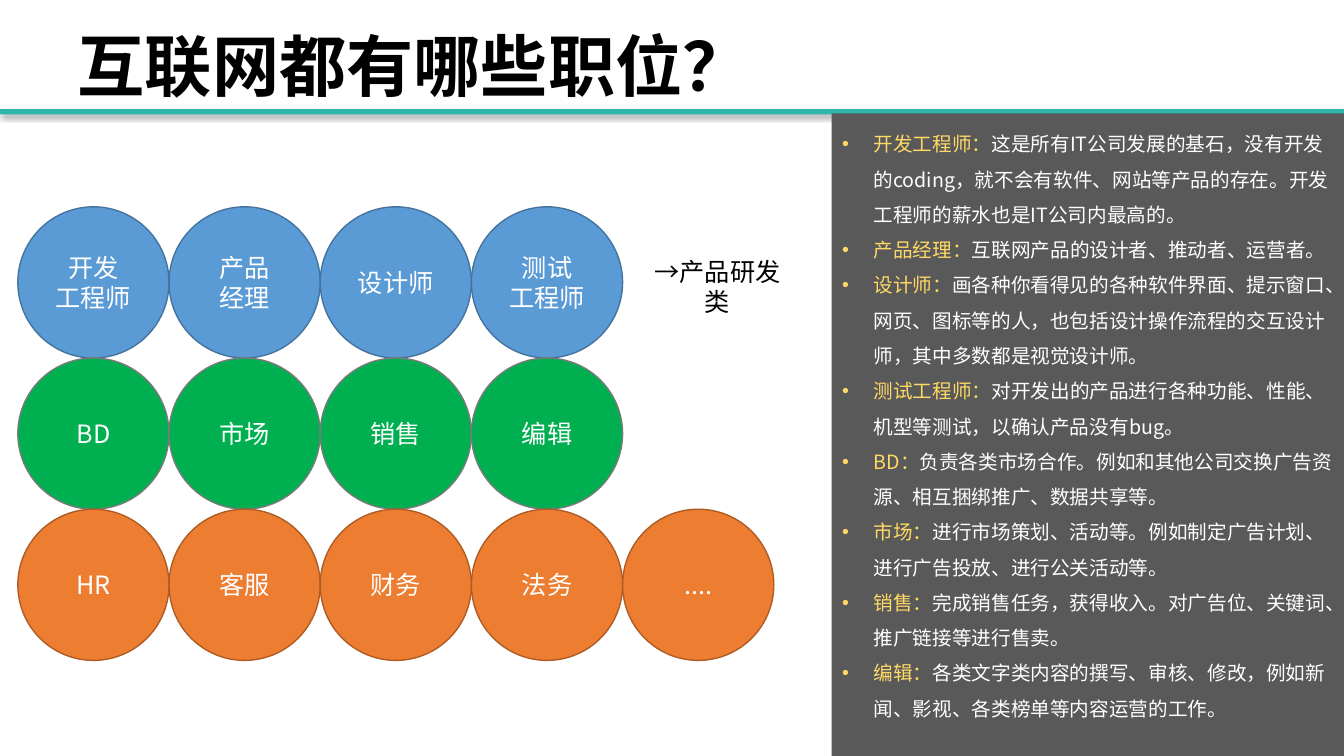
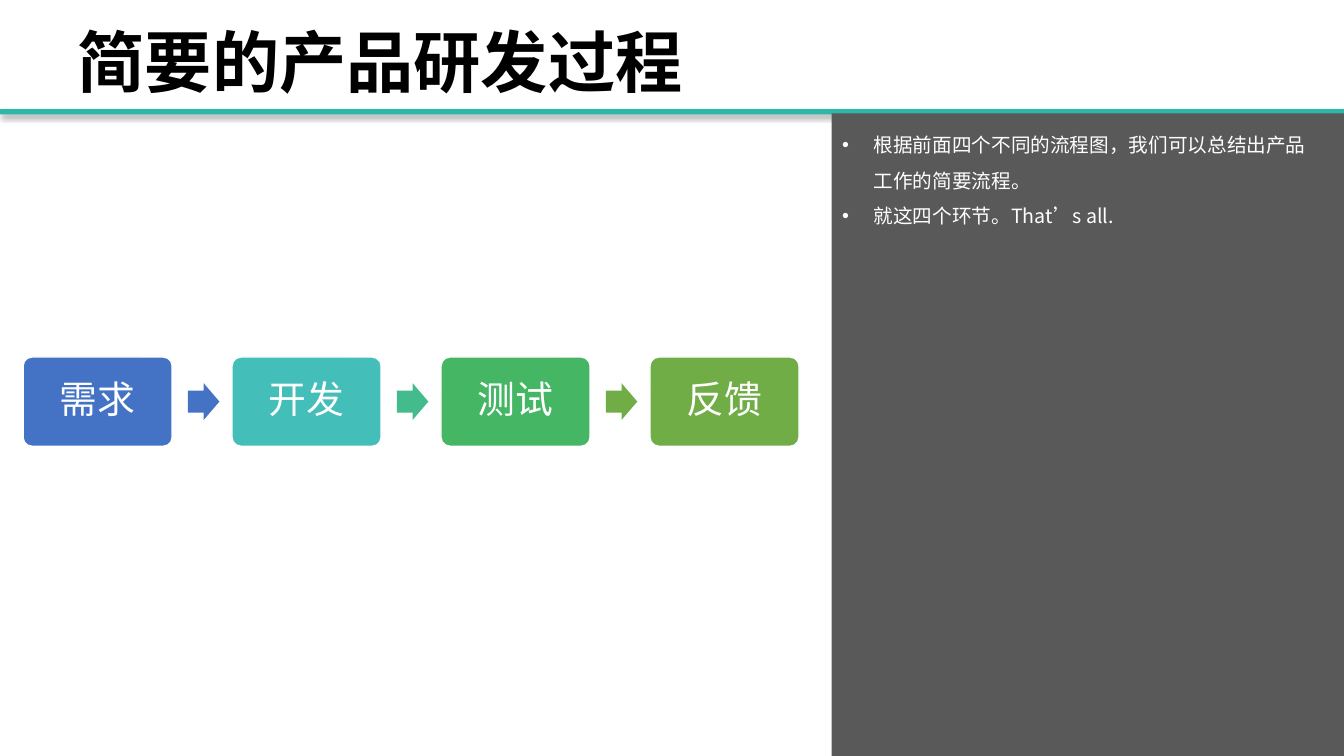
from lxml.etree import SubElement
from pptx import Presentation
from pptx.dml.color import RGBColor
from pptx.enum.lang import MSO_LANGUAGE_ID
from pptx.enum.shapes import MSO_SHAPE
from pptx.enum.text import MSO_ANCHOR, PP_ALIGN
from pptx.oxml.ns import qn
from pptx.util import Emu, Pt

SLIDE_WIDTH, SLIDE_HEIGHT = 1280, 720
BAND_TOP, BAND_HEIGHT = 104, 5
PANEL_LEFT, PANEL_TOP = 792, 108
CJK_FONT, LATIN_FONT = "Noto Sans CJK SC", "Calibri"
WHITE, BLACK, TEAL, GRAY, GOLD = "FFFFFF", "000000", "2EB6AA", "595959", "FFD966"


def px(length):
    return Emu(length * 9525)


def color(value):
    return RGBColor.from_string(value)


class Deck:
    """Holds the shared style and the current slide."""

    def __init__(self):
        self.presentation = Presentation()
        self.presentation.slide_width = px(SLIDE_WIDTH)
        self.presentation.slide_height = px(SLIDE_HEIGHT)
        self.slide = None

    def add_slide(self, title, title_top, title_height):
        self.slide = self.presentation.slides.add_slide(self.presentation.slide_layouts[6])
        # Band below the title
        band = self.shape(MSO_SHAPE.RECTANGLE, -2, BAND_TOP, SLIDE_WIDTH + 2, BAND_HEIGHT, TEAL)
        self.cast_shadow(band)
        # Title
        frame = self.text_box(0, title_top, 810, title_height, left_margin=74)
        frame.vertical_anchor = MSO_ANCHOR.MIDDLE
        frame.paragraphs[0].line_spacing = 0.9
        self.run(frame.paragraphs[0], title, 48, BLACK, bold=True)

    def cast_shadow(self, shape):
        effects = shape.element.spPr.find(qn("a:effectLst"))
        shadow = SubElement(effects, qn("a:outerShdw"), blurRad=str(Pt(4)), dist=str(Pt(3)),
                            dir="2700000", algn="tl", rotWithShape="0")
        black = SubElement(shadow, qn("a:srgbClr"), val=BLACK)
        SubElement(black, qn("a:alpha"), val="40000")

    def run(self, paragraph, text, size, text_color, bold=False, latin=CJK_FONT):
        run = paragraph.add_run()
        run.text = text
        font = run.font
        font.size, font.bold, font.name = Pt(size), bold, latin
        font.color.rgb = color(text_color)
        font.language_id = MSO_LANGUAGE_ID.SIMPLIFIED_CHINESE
        east_asian = SubElement(run.font._element, qn("a:ea"))
        east_asian.set("typeface", CJK_FONT)

    def shape(self, kind, left, top, width, height, fill=None, line=None, adjustments=()):
        shape = self.slide.shapes.add_shape(kind, px(left), px(top), px(width), px(height))
        shape.shadow.inherit = False
        for index, value in enumerate(adjustments):
            shape.adjustments[index] = value
        if fill:
            shape.fill.solid()
            shape.fill.fore_color.rgb = color(fill)
        else:
            shape.fill.background()
        if line:
            shape.line.color.rgb = color(line)
            shape.line.width = Pt(1)
        else:
            shape.line.fill.background()
        return shape

    def label(self, shape, lines, size=18, text_color=WHITE, latin=CJK_FONT, spacing=1.0):
        frame = shape.text_frame
        frame.word_wrap = True
        frame.vertical_anchor = MSO_ANCHOR.MIDDLE
        for index, line in enumerate(lines):
            paragraph = frame.add_paragraph() if index else frame.paragraphs[0]
            paragraph.alignment = PP_ALIGN.CENTER
            paragraph.line_spacing = spacing
            self.run(paragraph, line, size, text_color, latin=latin)

    def text_box(self, left, top, width, height, left_margin=10):
        box = self.slide.shapes.add_textbox(px(left), px(top), px(width), px(height))
        frame = box.text_frame
        frame.word_wrap = True
        frame.margin_left = px(left_margin)
        return frame

    def side_panel(self, items, top, width, height):
        """Each item is a pair: gold term (may be empty) and white explanation."""
        self.shape(MSO_SHAPE.RECTANGLE, PANEL_LEFT, PANEL_TOP,
                   SLIDE_WIDTH - PANEL_LEFT, SLIDE_HEIGHT - PANEL_TOP, GRAY)
        frame = self.text_box(PANEL_LEFT, top, width, height)
        for index, (term, explanation) in enumerate(items):
            paragraph = frame.add_paragraph() if index else frame.paragraphs[0]
            paragraph.line_spacing = 1.5
            self.bullet(paragraph)
            if term:
                self.run(paragraph, term, 14, GOLD)
            self.run(paragraph, explanation, 14, WHITE)

    def bullet(self, paragraph):
        properties = paragraph._p.get_or_add_pPr()
        properties.set("marL", str(px(30)))
        properties.set("indent", str(px(-30)))
        SubElement(properties, qn("a:buFont"), typeface="Arial")
        SubElement(properties, qn("a:buChar"), char="•")


def add_positions_slide(deck):
    deck.add_slide("互联网都有哪些职位？", 23, 87)

    # Rows of touching circles, one row per job family
    diameter, left, top = 144, 17, 197
    families = [
        ("5B9BD5", "43739E", [["开发", "工程师"], ["产品", "经理"], ["设计师"], ["测试", "工程师"]]),
        ("00B050", "7A7A7A", [["BD"], ["市场"], ["销售"], ["编辑"]]),
        ("ED7D31", "AF5C24", [["HR"], ["客服"], ["财务"], ["法务"], ["...."]]),
    ]
    for row, (fill, line, positions) in enumerate(families):
        for column, lines in enumerate(positions):
            circle = deck.shape(MSO_SHAPE.OVAL, left + column * diameter, top + row * diameter,
                                diameter, diameter, fill, line)
            deck.label(circle, lines)

    # Name of the first family
    family_name = deck.shape(MSO_SHAPE.ROUNDED_RECTANGLE, 598, 228, 171, 90)
    deck.label(family_name, ["→产品研发类"], text_color=BLACK)

    # Job descriptions
    deck.side_panel([
        ("开发工程师：", "这是所有IT公司发展的基石，没有开发的coding，就不会有软件、网站等产品的存在。"
                    "开发工程师的薪水也是IT公司内最高的。"),
        ("产品经理：", "互联网产品的设计者、推动者、运营者。"),
        ("设计师：", "画各种你看得见的各种软件界面、提示窗口、网页、图标等的人，"
                  "也包括设计操作流程的交互设计师，其中多数都是视觉设计师。"),
        ("测试工程师：", "对开发出的产品进行各种功能、性能、机型等测试，以确认产品没有bug。"),
        ("BD：", "负责各类市场合作。例如和其他公司交换广告资源、相互捆绑推广、数据共享等。"),
        ("市场：", "进行市场策划、活动等。例如制定广告计划、进行广告投放、进行公关活动等。"),
        ("销售：", "完成销售任务，获得收入。对广告位、关键词、推广链接等进行售卖。"),
        ("编辑：", "各类文字类内容的撰写、审核、修改，例如新闻、影视、各类榜单等内容运营的工作。"),
    ], 110, 492, 587)


def add_process_slide(deck):
    deck.add_slide("简要的产品研发过程", 4, 117)

    # Steps, each followed by an arrow except the last
    left, pitch = 22, 199
    steps = [("需求", "4472C4", "4472C4"), ("开发", "43BEB9", "43BB8D"),
             ("测试", "45B664", "70AD47"), ("反馈", "70AD47", None)]
    for index, (name, fill, arrow_fill) in enumerate(steps):
        step_left = left + index * pitch
        step = deck.shape(MSO_SHAPE.ROUNDED_RECTANGLE, step_left, 340, 142, 85, fill, WHITE, [0.1])
        deck.label(step, [name], 27, latin=LATIN_FONT, spacing=0.9)
        if arrow_fill:
            deck.shape(MSO_SHAPE.RIGHT_ARROW, step_left + 157, 365, 30, 35,
                       arrow_fill, adjustments=[0.6, 0.5])

    # Summary
    deck.side_panel([
        ("", "根据前面四个不同的流程图，我们可以总结出产品工作的简要流程。"),
        ("", "就这四个环节。That’s all."),
    ], 111, 465, 111)


def main():
    deck = Deck()
    add_positions_slide(deck)
    add_process_slide(deck)
    deck.presentation.save("out.pptx")


if __name__ == "__main__":
    main()
